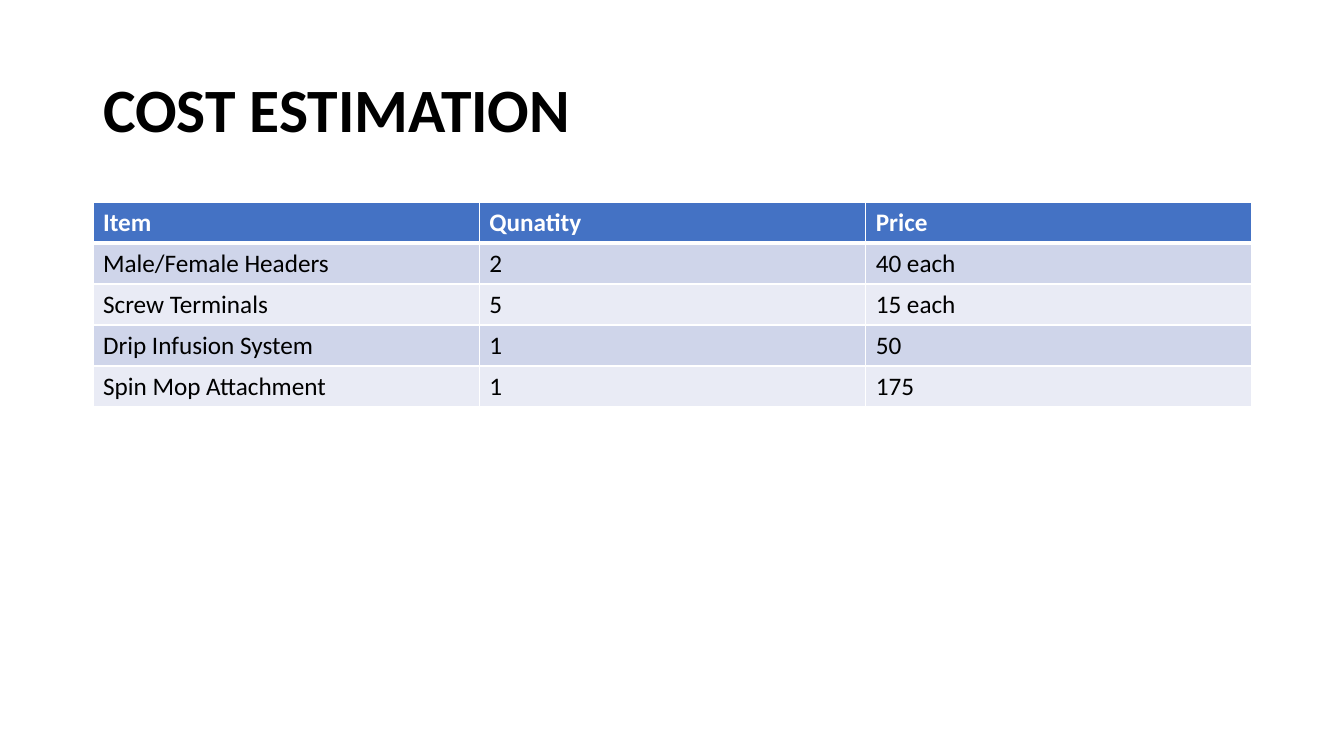
from lxml import etree
from pptx import Presentation
from pptx import util as u
from pptx.dml.color import RGBColor
from pptx.enum import text
from pptx.oxml.ns import qn

# Content
TITLE = "COST ESTIMATION"
ROWS = [
    ("Item", "Qunatity", "Price"),
    ("Male/Female Headers", "2", "40 each"),
    ("Screw Terminals", "5", "15 each"),
    ("Drip Infusion System", "1", "50"),
    ("Spin Mop Attachment", "1", "175"),
]

# Theme
THEME = {
    "font": "Calibri", "title": 44, "cell": 18,
    "ink": "000000", "white": "FFFFFF", "head": "4472C4",
    "bands": ("CFD5EA", "E9EBF5"), "line": 1, "rule": 3,
}

# Layout in pixels
PAGE = (1344, 756)
TITLE_BOX = (93, 40, 1159, 146)
LEFT, TOP, COL, ROW = 93, 202, 386.4, 41


def px(n):
    return u.Emu(round(n * 914400 / 100.8))


def style(para, size, color, bold):
    look = {"name": THEME["font"], "size": u.Pt(size), "bold": bold}
    for run in para.runs:
        for key, val in look.items():
            setattr(run.font, key, val)
        run.font.color.rgb = RGBColor.from_string(color)


def edge(cell, side, width):
    line = etree.SubElement(cell._tc.get_or_add_tcPr(), qn("a:ln" + side),
                            w=str(u.Pt(width)))
    fill = etree.SubElement(line, qn("a:solidFill"))
    etree.SubElement(fill, qn("a:srgbClr"), val=THEME["white"])


deck = Presentation()
deck.slide_width, deck.slide_height = map(px, PAGE)
slide = deck.slides.add_slide(deck.slide_layouts[5])

# Title
title = slide.shapes.title
for key, val in zip(("left", "top", "width", "height"), TITLE_BOX):
    setattr(title, key, px(val))
frame = title.text_frame
frame.text = TITLE
frame.vertical_anchor = text.MSO_ANCHOR.MIDDLE
para = frame.paragraphs[0]
para.alignment = text.PP_ALIGN.LEFT
para.line_spacing = 0.9
style(para, THEME["title"], THEME["ink"], True)

# Cost table
cols = len(ROWS[0])
table = slide.shapes.add_table(len(ROWS), cols, px(LEFT), px(TOP),
                               px(COL * cols), px(ROW * len(ROWS))).table
for col in table.columns:
    col.width = px(COL)
for r, row in enumerate(ROWS):
    table.rows[r].height = px(ROW)
    head = r == 0
    back = THEME["head"] if head else THEME["bands"][(r - 1) % 2]
    for c, word in enumerate(row):
        cell = table.cell(r, c)
        cell.text = word
        style(cell.text_frame.paragraphs[0], THEME["cell"],
              THEME["white" if head else "ink"], head)
        for side in "LRTB":
            thick = (r, side) in ((0, "B"), (1, "T"))
            edge(cell, side, THEME["rule" if thick else "line"])
        cell.fill.solid()
        cell.fill.fore_color.rgb = RGBColor.from_string(back)

deck.save("out.pptx")
